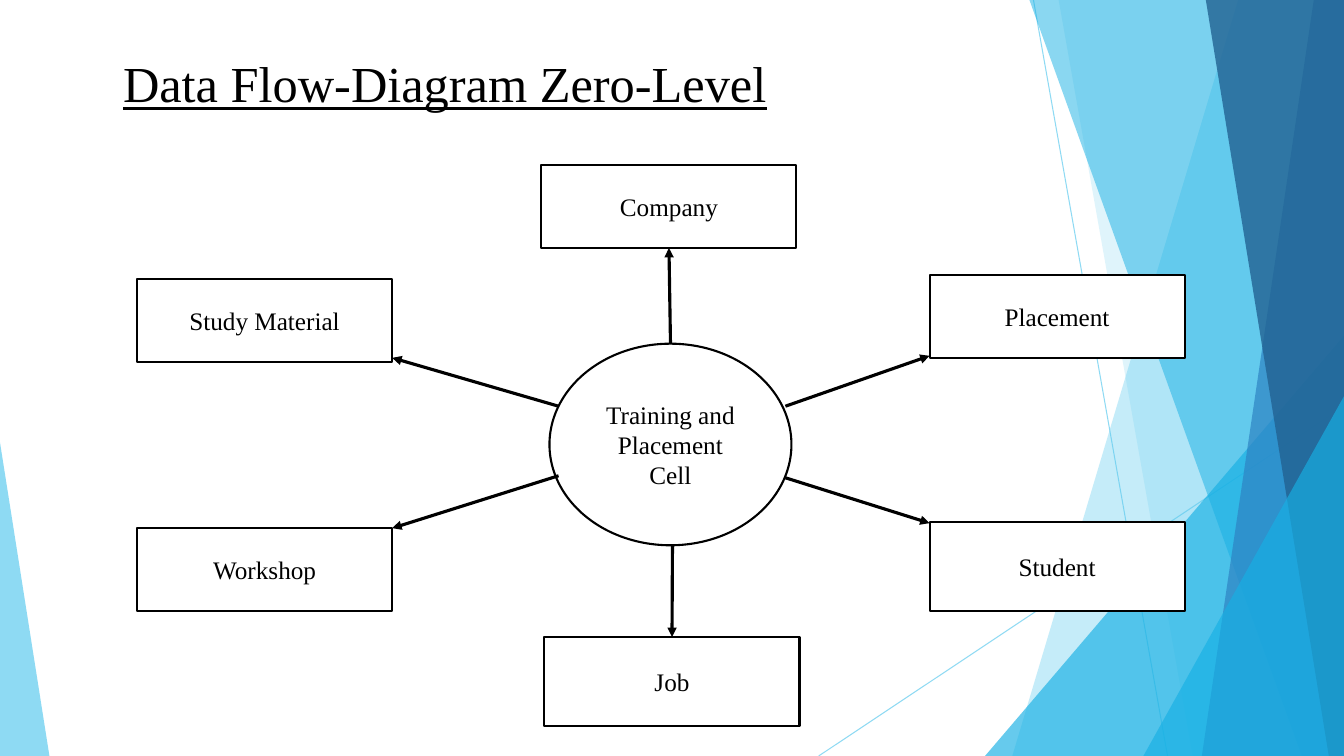
"""Builds the zero-level data flow diagram slide."""
import pptx
import pptx.dml.color
import pptx.enum.shapes
import pptx.enum.text
import pptx.oxml
import pptx.oxml.ns
import pptx.util

PX = 9144
WIDTH, HEIGHT = 1333, 750
FONT = "Times New Roman"
COLORS = {"ink": "000000", "paper": "FFFFFF", "sky": "5FCBEF",
          "cyan": "17B0E4", "blue": "2E83C3", "navy": "226292"}
SHAPES = pptx.enum.shapes.MSO_SHAPE
ALIGN = pptx.enum.text.PP_ALIGN
ANCHOR = pptx.enum.text.MSO_ANCHOR


def px(*lengths):
    return [pptx.util.Emu(length * PX) for length in lengths]


def rgb(name):
    return pptx.dml.color.RGBColor.from_string(COLORS[name])


def add_xml(parent, tag, **attributes):
    child = pptx.oxml.parse_xml(f"<a:{tag} {pptx.oxml.ns.nsdecls('a')}/>")
    for key, value in attributes.items():
        child.set(key, str(value))
    parent.append(child)


def write(frame, text, size=18, color="ink", align=ALIGN.CENTER,
          anchor=ANCHOR.MIDDLE, underline=None):
    frame.word_wrap = True
    frame.vertical_anchor = anchor
    frame.text = text
    paragraph = frame.paragraphs[0]
    paragraph.alignment = align
    font = paragraph.runs[0].font
    font.name = FONT
    font.size = pptx.util.Pt(size)
    font.underline = underline
    font.color.rgb = rgb(color)


class DiagramSlide:
    """Holds the current slide and draws its elements in one style."""

    def __init__(self, deck):
        self.slide = deck.slides.add_slide(deck.slide_layouts[5])
        self.shapes = self.slide.shapes

    def title(self, text, left, top, width, height):
        heading = self.shapes.title
        heading.left, heading.top, heading.width, heading.height = px(left, top, width, height)
        write(heading.text_frame, text, size=36, align=ALIGN.LEFT,
              anchor=ANCHOR.TOP, underline=True)

    def tint(self, shape, color, alpha):
        shape.shadow.inherit = False
        shape.fill.solid()
        shape.fill.fore_color.rgb = rgb(color)
        shape.line.fill.background()
        fill = shape.fill._xPr.find(pptx.oxml.ns.qn("a:solidFill"))
        add_xml(fill[0], "alpha", val=alpha * 1000)

    def facet(self, top_x, bottom_x, color, alpha):
        outline = self.shapes.build_freeform(top_x, 0, scale=PX)
        outline.add_line_segments([(WIDTH, 0), (WIDTH, HEIGHT), (bottom_x, HEIGHT)])
        self.tint(outline.convert_to_shape(), color, alpha)

    def triangle(self, left, top, width, apex, color, alpha):
        shape = self.shapes.add_shape(SHAPES.ISOSCELES_TRIANGLE,
                                      *px(left, top, width, HEIGHT - top))
        shape.adjustments[0] = apex
        self.tint(shape, color, alpha)

    def node(self, text, left, top, width=253, height=82, kind=SHAPES.RECTANGLE):
        shape = self.shapes.add_shape(kind, *px(left, top, width, height))
        shape.shadow.inherit = False
        shape.fill.solid()
        shape.fill.fore_color.rgb = rgb("paper")
        shape.line.color.rgb = rgb("ink")
        shape.line.width = pptx.util.Pt(1.5)
        write(shape.text_frame, text)
        return shape

    def line(self, start, end, color, weight):
        connector = self.shapes.add_connector(
            pptx.enum.shapes.MSO_CONNECTOR.STRAIGHT, *px(*start, *end))
        connector.line.color.rgb = rgb(color)
        connector.line.width = pptx.util.Pt(weight)
        add_xml(connector._element.spPr, "effectLst")
        return connector

    def hairline(self, start, end):
        connector = self.line(start, end, "sky", 0.75)
        fill = connector.line._ln.find(pptx.oxml.ns.qn("a:solidFill"))
        add_xml(fill[0], "alpha", val=70000)

    def arrow(self, start, end, target=None, side=None):
        connector = self.line(start, end, "ink", 2.25)
        add_xml(connector.line._ln, "tailEnd", type="triangle")
        if target is not None:
            connector.end_connect(target, side)


def main():
    deck = pptx.Presentation()
    deck.slide_width, deck.slide_height = px(WIDTH, HEIGHT)
    page = DiagramSlide(deck)

    page.hairline((1025, 0), (1158, HEIGHT))
    page.hairline((WIDTH, 403), (812, HEIGHT))
    page.facet(1228, 1004, "sky", 36)
    page.facet(1050, 1183, "sky", 20)
    page.triangle(977, 333, 356, 1, "cyan", 66)
    page.facet(1021, 1291, "cyan", 50)
    page.facet(1303, 1192, "blue", 70)
    page.facet(1196, 1318, "navy", 80)
    page.triangle(1134, 393, 199, 1, "cyan", 66)
    page.triangle(0, 439, 49, 0, "sky", 70)

    page.title("Data Flow-Diagram Zero-Level", 112, 47, 667, 71)
    page.node("Training and Placement Cell", 545, 341, 240, 200, SHAPES.OVAL)
    page.node("Workshop", 136, 524)
    page.node("Study Material", 136, 277)
    page.node("Student", 922, 518, height=88)
    page.node("Placement", 922, 273)
    company = page.node("Company", 537, 164)
    job = page.node("Job", 540, 632, height=88)

    page.arrow((665, 341), (664, 246), company, 2)
    page.arrow((667, 541), (667, 632), job, 0)
    for start, end in [((554, 403), (389, 355)), ((554, 472), (389, 524)),
                       ((779, 474), (922, 519)), ((779, 403), (922, 353))]:
        page.arrow(start, end)

    deck.save("out.pptx")


if __name__ == "__main__":
    main()
